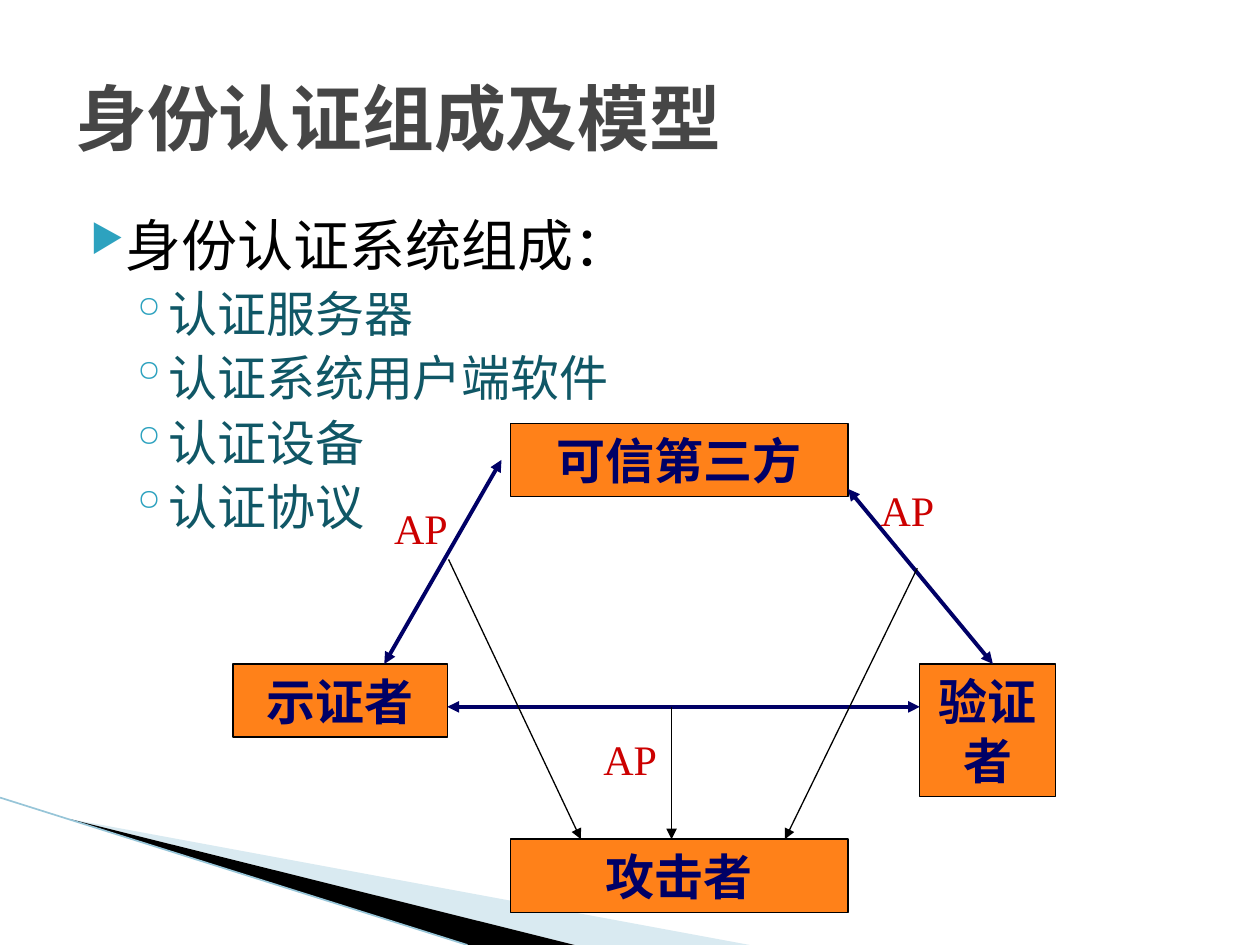
from dataclasses import dataclass

import lxml.etree
import pptx
import pptx.dml.color
import pptx.enum.shapes
import pptx.enum.text
import pptx.oxml.ns
import pptx.util

PX = 9144  # EMU in one px, at 100 px to the inch


@dataclass(frozen=True)
class Theme:
    sans: str = "DejaVu Sans Mono"
    serif: str = "Times New Roman"
    title: str = "464646"
    heading: str = "000000"
    item: str = "105766"
    bullet: str = "2DA2BF"
    party_fill: str = "FF8119"
    navy: str = "000066"
    label: str = "CC0000"
    black: str = "000000"
    wedge: str = "A0CBDC"
    edge: str = "97C5D8"
    title_size: float = 41
    heading_size: float = 32
    item_size: float = 28
    label_size: float = 24
    thin: float = 0.75
    thick: float = 2.25


THEME = Theme()


def emu(*lengths):
    return [pptx.util.Emu(length * PX) for length in lengths]


def rgb(value):
    return pptx.dml.color.RGBColor.from_string(value)


def add_xml(parent, tag, **attributes):
    return lxml.etree.SubElement(parent, pptx.oxml.ns.qn(tag), attributes)


def style(paragraph, font, size, color, bold=False):
    for run in paragraph.runs:
        run.font.name = font
        run.font.size = pptx.util.Pt(size)
        run.font.bold = bold
        run.font.color.rgb = rgb(color)


def add_text(slide, box, text):
    frame = slide.shapes.add_textbox(*emu(*box)).text_frame
    frame.word_wrap = True
    frame.text = text
    return frame


def add_line(slide, start, end, color, width, arrows=()):
    line = slide.shapes.add_connector(
        pptx.enum.shapes.MSO_CONNECTOR.STRAIGHT, *emu(*start, *end))
    line.line.color.rgb = rgb(color)
    line.line.width = pptx.util.Pt(width)
    for arrow in arrows:
        add_xml(line.line._ln, arrow, type="triangle")
    add_xml(line._element.spPr, "a:effectLst")


def add_wedge(slide, points, color, alpha=None):
    builder = slide.shapes.build_freeform(*points[0], scale=PX)
    builder.add_line_segments(points[1:], close=True)
    wedge = builder.convert_to_shape()
    wedge.shadow.inherit = False
    wedge.fill.solid()
    wedge.fill.fore_color.rgb = rgb(color)
    wedge.line.fill.background()
    if alpha:
        fill = wedge._element.spPr.find(pptx.oxml.ns.qn("a:solidFill"))
        add_xml(fill[0], "a:alpha", val=str(alpha * 1000))


def draw_corner(slide, box):
    left, top, width, height = box
    bottom = top + height
    tip = (left + 55, top + 17)
    add_wedge(slide, [tip, (left + width, bottom), (left + 456, bottom)],
              THEME.wedge, alpha=40)
    add_wedge(slide, [tip, (left + 456, bottom), (left + 371, bottom)], THEME.black)
    add_line(slide, (left, top), (left + 371, bottom), THEME.edge, 0.95)


def draw_title(slide, box, text):
    frame = add_text(slide, box, text)
    frame.vertical_anchor = pptx.enum.text.MSO_ANCHOR.MIDDLE
    style(frame.paragraphs[0], THEME.sans, THEME.title_size, THEME.title, bold=True)


def add_bullet(paragraph, mark, margin, indent, percent=100):
    properties = paragraph._p.get_or_add_pPr()
    properties.set("marL", str(margin * PX))
    properties.set("indent", str(indent * PX))
    color = add_xml(properties, "a:buClr")
    add_xml(color, "a:srgbClr", val=THEME.bullet)
    add_xml(properties, "a:buSzPct", val=str(percent * 1000))
    add_xml(properties, "a:buChar", char=mark)


def draw_components(slide, box, heading, items):
    frame = add_text(slide, box, heading)
    first = frame.paragraphs[0]
    add_bullet(first, "▶", 40, -28, percent=68)
    style(first, THEME.sans, THEME.heading_size, THEME.heading)
    for item in items:
        paragraph = frame.add_paragraph()
        paragraph.text = item
        paragraph.level = 1
        paragraph.space_before = pptx.util.Pt(3.2)
        add_bullet(paragraph, "◦", 68, -25)
        style(paragraph, THEME.sans, THEME.item_size, THEME.item)


def add_party(slide, box, name):
    party = slide.shapes.add_shape(
        pptx.enum.shapes.MSO_SHAPE.RECTANGLE, *emu(*box))
    party.shadow.inherit = False
    party.fill.solid()
    party.fill.fore_color.rgb = rgb(THEME.party_fill)
    party.line.color.rgb = rgb(THEME.black)
    party.line.width = pptx.util.Pt(THEME.thin)
    frame = party.text_frame
    frame.word_wrap = True
    frame.text = name
    frame.paragraphs[0].alignment = pptx.enum.text.PP_ALIGN.CENTER
    style(frame.paragraphs[0], THEME.serif, THEME.item_size, THEME.navy, bold=True)


def draw_model(slide, box):
    left, top, width, height = box

    def at(x, y):
        return left + x, top + y

    # Parties
    row = 58
    middle = 191
    for x, y, w, h, name in [
        (0, middle, 170, row, "示证者"),
        (220, 0, 268, row, "可信第三方"),
        (width - 108, middle, 108, 105, "验证者"),
        (220, height - row, 268, row, "攻击者"),
    ]:
        add_party(slide, (*at(x, y), w, h), name)

    # Protocol exchanges between the parties
    for start, end in [
        ((120, middle), (213, 29)),
        ((170, 225), (width - 108, 225)),
        ((488, 52), (603, middle)),
    ]:
        add_line(slide, at(*start), at(*end), THEME.navy, THEME.thick,
                 ("a:headEnd", "a:tailEnd"))

    # Protocol labels
    for x, y, w in [(118, 58, 87), (284, 241, 165), (504, 44, 165)]:
        frame = add_text(slide, (*at(x, y), w, 50), "AP")
        style(frame.paragraphs[0], THEME.serif, THEME.label_size, THEME.label)

    # Attacks on each exchange
    for start, end_x in [((348, 225), 348), ((171, 108), 276), ((543, 115), 438)]:
        add_line(slide, at(*start), at(end_x, height - row), THEME.black,
                 THEME.thin, ("a:tailEnd",))


def main():
    deck = pptx.Presentation()
    deck.slide_width, deck.slide_height = emu(1000, 750)
    slide = deck.slides.add_slide(deck.slide_layouts[6])
    draw_corner(slide, (0, 633, 595, 117))
    draw_components(slide, (50, 162, 900, 495), "身份认证系统组成：",
                    ["认证服务器", "认证系统用户端软件", "认证设备", "认证协议"])
    draw_title(slide, (50, 30, 900, 125), "身份认证组成及模型")
    draw_model(slide, (185, 336, 653, 388))
    deck.save("out.pptx")


if __name__ == "__main__":
    main()
